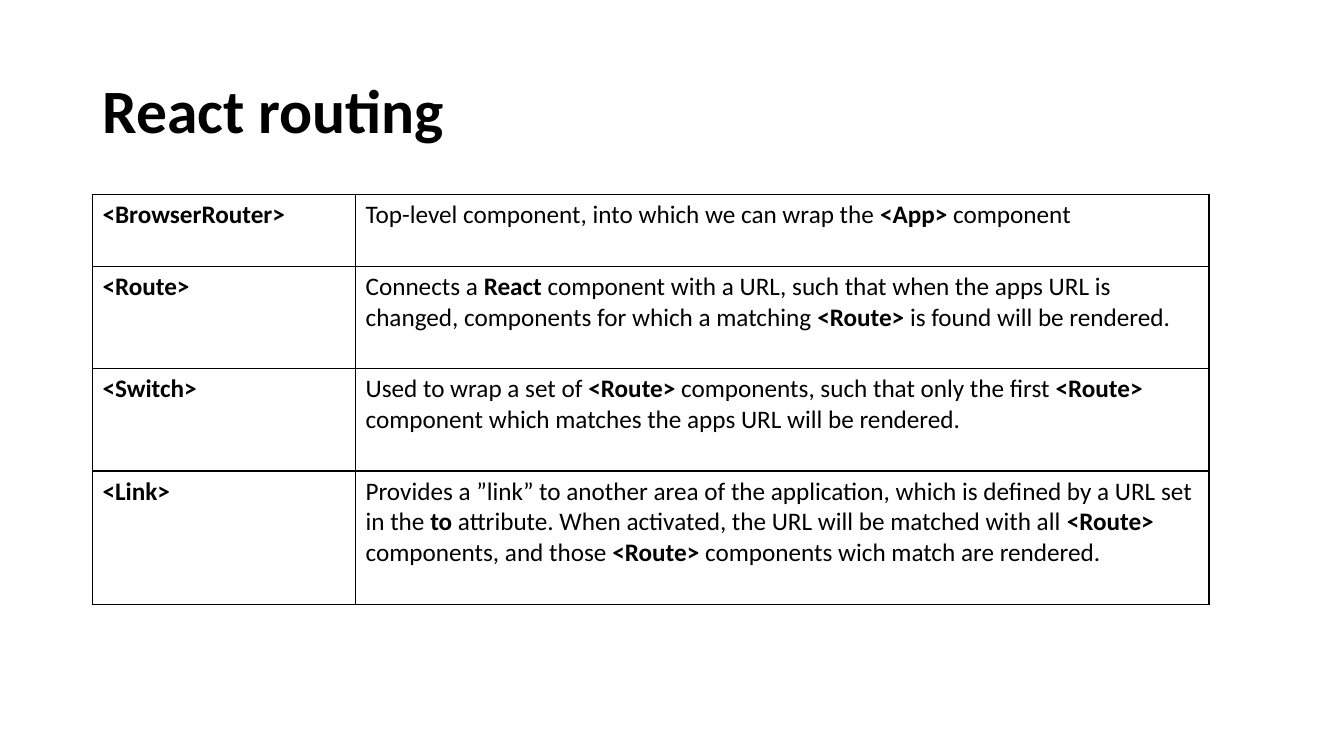
from dataclasses import dataclass

from lxml.etree import SubElement
from pptx import Presentation
from pptx.dml.color import RGBColor
from pptx.enum.text import MSO_ANCHOR, MSO_AUTO_SIZE, PP_ALIGN
from pptx.oxml.ns import qn
from pptx.util import Cm, Pt

BLACK = RGBColor(0x00, 0x00, 0x00)
WHITE = RGBColor(0xFF, 0xFF, 0xFF)
FONT = "Calibri"
LEFT = Cm(2.33)
COLUMN_WIDTHS = (Cm(6.63), Cm(21.51))


@dataclass(frozen=True)
class RouterComponent:
    tag: str
    description: str
    height: float


COMPONENTS = (
    RouterComponent(
        "**<BrowserRouter>**",
        "Top-level component, into which we can wrap the **<App> **component",
        1.81,
    ),
    RouterComponent(
        "**<Route>**",
        "Connects a **React** component with a URL, such that when the apps URL "
        "is changed, components for which a matching **<Route> **is found will "
        "be rendered.",
        2.58,
    ),
    RouterComponent(
        "**<Switch>**",
        "Used to wrap a set of **<Route> **components, such that only the first "
        "**<Route> **component which matches the apps URL will be rendered.",
        2.58,
    ),
    RouterComponent(
        "**<Link>**",
        "Provides a ”link” to another area of the application, which is defined "
        "by a URL set in the **to** attribute. When activated, the URL will be "
        "matched with all **<Route> **components, and those **<Route> **components "
        "wich match are rendered.",
        3.36,
    ),
)


def style_font(font, size: float) -> None:
    font.name = FONT
    font.size = Pt(size)
    font.color.rgb = BLACK


def add_borders(cell) -> None:
    properties = cell._tc.get_or_add_tcPr()
    for side in ("lnL", "lnR", "lnT", "lnB"):
        line = SubElement(properties, qn(f"a:{side}"), w=str(Pt(1)))
        fill = SubElement(line, qn("a:solidFill"))
        SubElement(fill, qn("a:srgbClr"), val=str(BLACK))


def fill_cell(cell, text: str) -> None:
    """Write text into the cell, with the parts between ** marks in bold."""
    add_borders(cell)
    cell.fill.solid()
    cell.fill.fore_color.rgb = WHITE
    paragraph = cell.text_frame.paragraphs[0]
    style_font(paragraph.font, 18)
    for index, part in enumerate(text.split("**")):
        if part:
            run = paragraph.add_run()
            run.text = part
            run.font.bold = index % 2 == 1


def add_title(slide, text: str) -> None:
    title = slide.shapes.title
    title.left, title.top = LEFT, Cm(1.01)
    title.width, title.height = Cm(29.21), Cm(3.68)
    frame = title.text_frame
    frame.text = text
    frame.auto_size = MSO_AUTO_SIZE.NONE
    frame.vertical_anchor = MSO_ANCHOR.MIDDLE
    heading = frame.paragraphs[0]
    heading.alignment = PP_ALIGN.LEFT
    heading.line_spacing = 0.9
    style_font(heading.font, 44)
    heading.font.bold = True


def add_component_table(slide) -> None:
    height = Cm(sum(component.height for component in COMPONENTS))
    table = slide.shapes.add_table(
        len(COMPONENTS), len(COLUMN_WIDTHS), LEFT, Cm(4.9), sum(COLUMN_WIDTHS), height
    ).table
    table.first_row = False
    table.horz_banding = False
    for column, width in zip(table.columns, COLUMN_WIDTHS):
        column.width = width
    for row, component in zip(table.rows, COMPONENTS):
        row.height = Cm(component.height)
        for cell, text in zip(row.cells, (component.tag, component.description)):
            fill_cell(cell, text)


def main() -> None:
    presentation = Presentation()
    presentation.slide_width = Cm(33.87)
    presentation.slide_height = Cm(19.05)
    slide = presentation.slides.add_slide(presentation.slide_layouts[5])
    add_title(slide, "React routing")
    add_component_table(slide)
    presentation.save("out.pptx")


if __name__ == "__main__":
    main()
